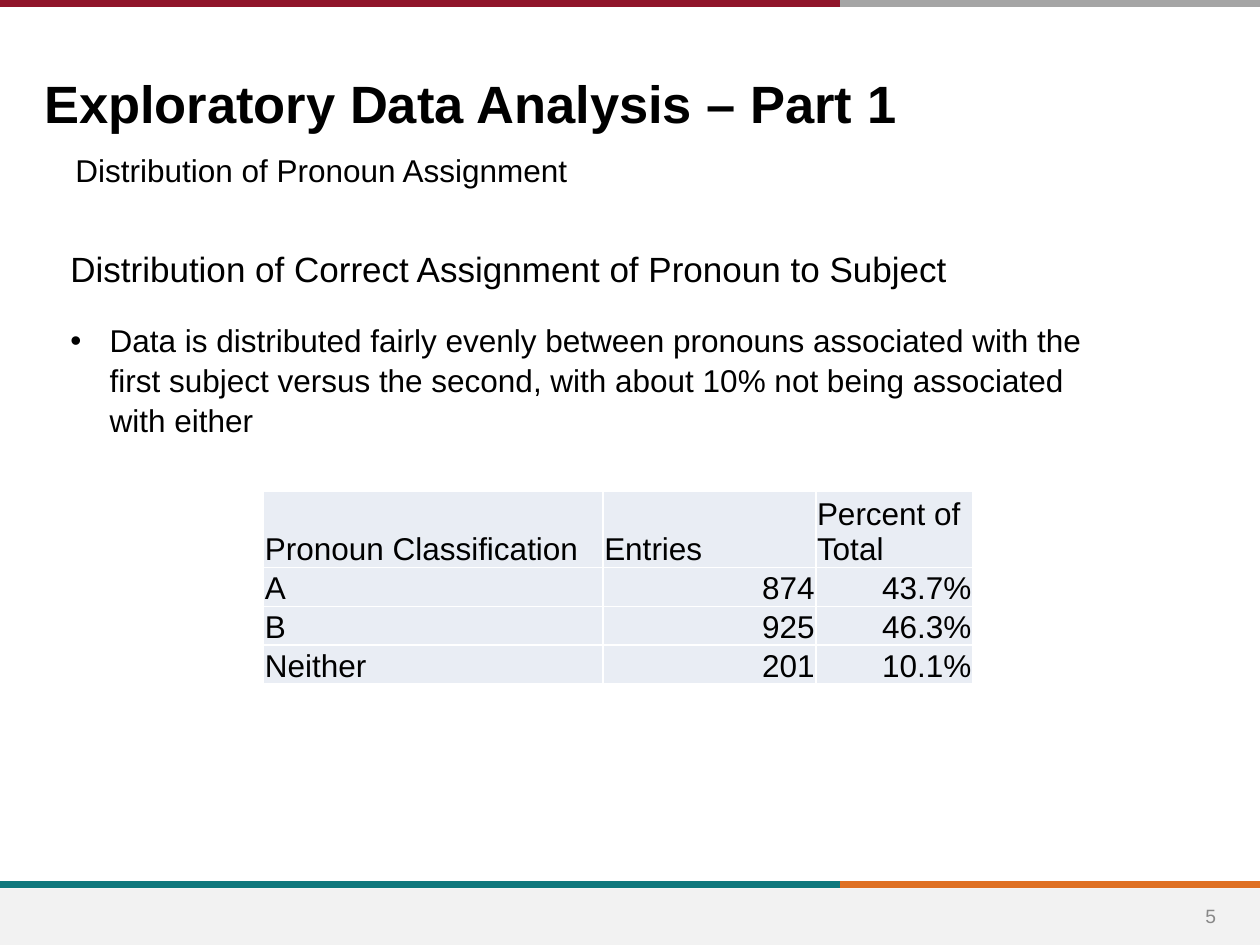
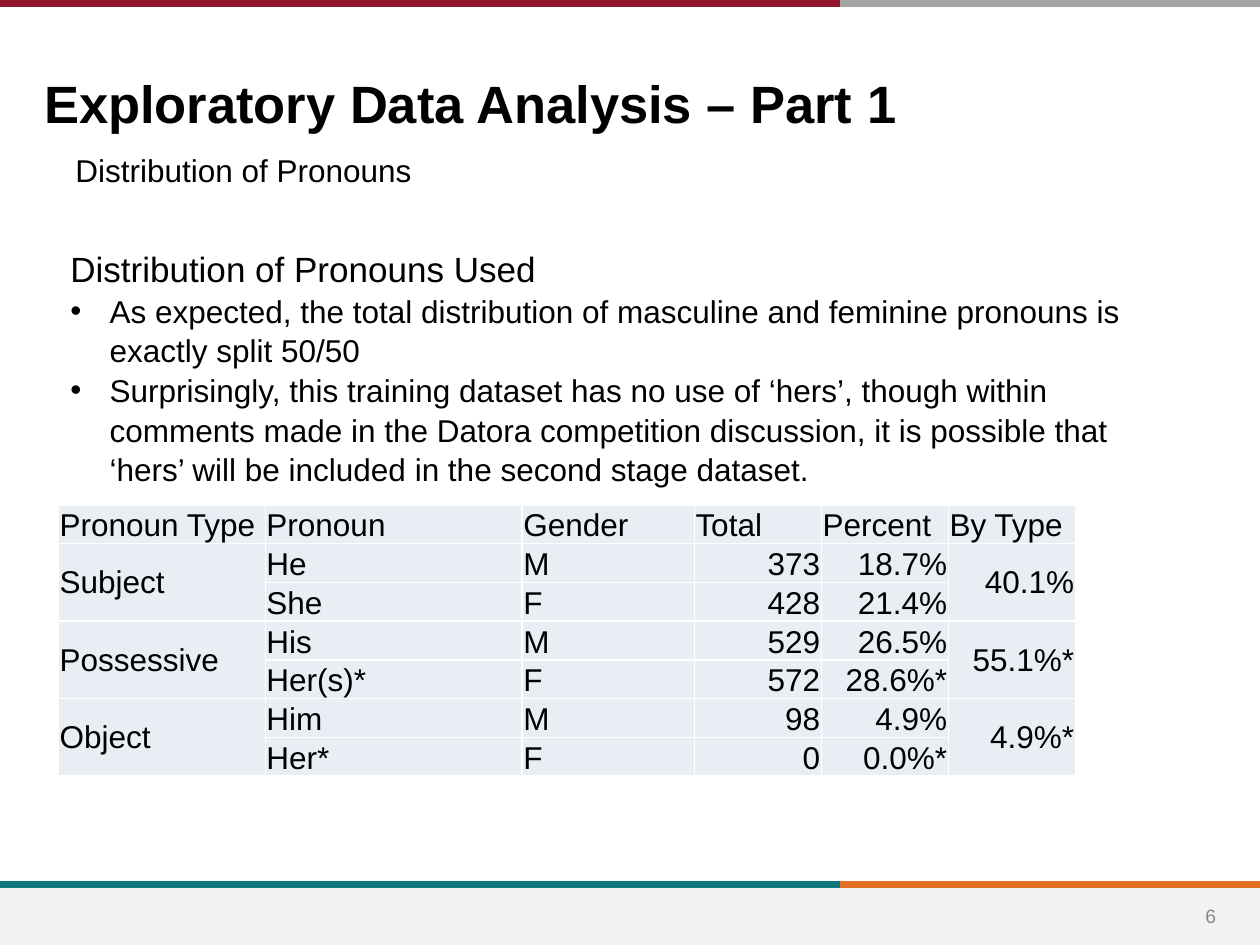
from lxml import etree
from pptx import Presentation
from pptx.dml.color import RGBColor
from pptx.enum.shapes import MSO_CONNECTOR, MSO_SHAPE
from pptx.enum.text import MSO_ANCHOR, MSO_AUTO_SIZE, PP_ALIGN
from pptx.oxml.ns import qn
from pptx.util import Pt

LEFT, CENTER, RIGHT = PP_ALIGN.LEFT, PP_ALIGN.CENTER, PP_ALIGN.RIGHT
TOP, MIDDLE, BOTTOM = MSO_ANCHOR.TOP, MSO_ANCHOR.MIDDLE, MSO_ANCHOR.BOTTOM

BLACK = RGBColor(0x00, 0x00, 0x00)
WHITE = RGBColor(0xFF, 0xFF, 0xFF)
CRIMSON = RGBColor(0x90, 0x15, 0x2A)
SILVER = RGBColor(0xA5, 0xA5, 0xA5)
TEAL = RGBColor(0x0F, 0x78, 0x7D)
ORANGE = RGBColor(0xDF, 0x70, 0x23)
FOOTER_FILL = RGBColor(0xF2, 0xF2, 0xF2)
NUMBER_GRAY = RGBColor(0x88, 0x88, 0x88)
CELL_FILL = RGBColor(0xE9, 0xED, 0xF4)

FONT = "Arial"
SLIDE_WIDTH, SLIDE_HEIGHT = 720, 540
BAND_SPLIT = 480
ROW_HEIGHT = 22.15
BULLET_INDENT = 22.5

ASSIGNMENT_ROWS = [
    ["Pronoun Classification", "Entries", "Percent of Total"],
    ["A", "874", "43.7%"],
    ["B", "925", "46.3%"],
    ["Neither", "201", "10.1%"],
]
# None continues the cell above.
PRONOUN_ROWS = [
    ["Pronoun Type", "Pronoun", "Gender", "Total", "Percent", "By Type"],
    ["Subject", "He", "M", "373", "18.7%", "40.1%"],
    [None, "She", "F", "428", "21.4%", None],
    ["Possessive", "His", "M", "529", "26.5%", "55.1%*"],
    [None, "Her(s)*", "F", "572", "28.6%*", None],
    ["Object", "Him", "M", "98", "4.9%", "4.9%*"],
    [None, "Her*", "F", "0", "0.0%*", None],
]


def style_paragraph(para, size, color=BLACK, bold=False, align=LEFT):
    para.alignment = align
    para.font.name = FONT
    para.font.size = Pt(size)
    para.font.bold = bold
    para.font.color.rgb = color


def set_frame(frame, inset_x, inset_y, anchor=TOP):
    frame.word_wrap = True
    frame.auto_size = MSO_AUTO_SIZE.NONE
    frame.vertical_anchor = anchor
    frame.margin_left = frame.margin_right = Pt(inset_x)
    frame.margin_top = frame.margin_bottom = Pt(inset_y)


def add_box(page, left, top, width, height, inset_y=3.6, anchor=TOP):
    box = page.shapes.add_textbox(Pt(left), Pt(top), Pt(width), Pt(height))
    set_frame(box.text_frame, 7.2, inset_y, anchor)
    return box.text_frame


def set_indent(para, margin, hanging, bullet=None):
    properties = para._p.get_or_add_pPr()
    properties.set("marL", str(Pt(margin)))
    properties.set("indent", str(-Pt(hanging)))
    if bullet:
        font = etree.SubElement(properties, qn("a:buFont"))
        font.set("typeface", FONT)
        mark = etree.SubElement(properties, qn("a:buChar"))
        mark.set("char", bullet)
        # Bullet marks belong ahead of the default run properties.
        defaults = properties.find(qn("a:defRPr"))
        if defaults is not None:
            properties.remove(defaults)
            properties.append(defaults)


def add_band(page, y, left_color, right_color):
    """Draw a two-colour rule across the slide."""
    for start, end, color in ((BAND_SPLIT, SLIDE_WIDTH, right_color),
                              (0, BAND_SPLIT, left_color)):
        line = page.shapes.add_connector(
            MSO_CONNECTOR.STRAIGHT, Pt(start), Pt(y), Pt(end), Pt(y))
        line.line.color.rgb = color
        line.line.width = Pt(4)
        etree.SubElement(line._element.spPr, qn("a:effectLst"))


def add_footer(page, number):
    footer = page.shapes.add_shape(
        MSO_SHAPE.RECTANGLE, 0, Pt(507.6), Pt(SLIDE_WIDTH), Pt(32.4))
    footer.shadow.inherit = False
    footer.fill.solid()
    footer.fill.fore_color.rgb = FOOTER_FILL
    footer.line.fill.background()
    frame = add_box(page, 673.2, 509.1, 37.4, 28.8, anchor=MIDDLE)
    frame.text = str(number)
    style_paragraph(frame.paragraphs[0], 11, NUMBER_GRAY, align=CENTER)


def add_page(deck, number, title, subtitle):
    page = deck.slides.add_slide(deck.slide_layouts[5])
    add_band(page, 505.44, TEAL, ORANGE)
    add_band(page, 2, CRIMSON, SILVER)
    add_footer(page, number)

    heading = page.shapes.title
    heading.left, heading.top = Pt(18), Pt(33.1)
    heading.width, heading.height = Pt(575.3), Pt(42.5)
    heading.text = title
    set_frame(heading.text_frame, 7.2, 7.2)
    style_paragraph(heading.text_frame.paragraphs[0], 30, bold=True)

    frame = add_box(page, 18, 79.2, 684.7, 32.4, inset_y=7.2)
    frame.text = subtitle
    style_paragraph(frame.paragraphs[0], 18)
    set_indent(frame.paragraphs[0], 36, 18)
    return page


def add_findings(page, height, heading, bullets, gap=0):
    """Write a heading and its bullets, with a gap between them."""
    frame = add_box(page, 33.1, 136.8, 614.5, height)
    frame.text = "\n".join([heading] + bullets)
    for index, para in enumerate(frame.paragraphs):
        style_paragraph(para, 18 if index else 20)
        para.line_spacing = 1.05
        if index:
            para.space_before = Pt(gap if index == 1 else 0)
            set_indent(para, BULLET_INDENT, BULLET_INDENT, "•")


def add_borders(cell):
    properties = cell._tc.get_or_add_tcPr()
    for index, side in enumerate(("a:lnL", "a:lnR", "a:lnT", "a:lnB")):
        border = etree.Element(qn(side), w=str(Pt(1)))
        fill = etree.SubElement(border, qn("a:solidFill"))
        etree.SubElement(fill, qn("a:srgbClr"), val=str(WHITE))
        properties.insert(index, border)


def fill_cell(cell, text):
    cell.margin_left = cell.margin_right = cell.margin_top = Pt(0.72)
    cell.margin_bottom = 0
    cell.vertical_anchor = MIDDLE if cell.is_merge_origin else BOTTOM
    cell.fill.solid()
    cell.fill.fore_color.rgb = CELL_FILL
    add_borders(cell)
    if text is not None:
        cell.text = text
        style_paragraph(cell.text_frame.paragraphs[0], 18,
                        align=RIGHT if text[0].isdigit() else LEFT)


def add_data_table(page, left, top, widths, rows, header_height=ROW_HEIGHT):
    heights = [header_height] + [ROW_HEIGHT] * (len(rows) - 1)
    table = page.shapes.add_table(
        len(rows), len(widths), Pt(left), Pt(top),
        Pt(sum(widths)), Pt(sum(heights))).table
    table.first_row = table.horz_banding = False
    for column, width in zip(table.columns, widths):
        column.width = Pt(width)
    for row, height in zip(table.rows, heights):
        row.height = Pt(height)
    for r, values in enumerate(rows):
        for c, text in enumerate(values):
            if text is None:
                table.cell(r - 1, c).merge(table.cell(r, c))
    for r, values in enumerate(rows):
        for c, text in enumerate(values):
            fill_cell(table.cell(r, c), text)


def main():
    deck = Presentation()
    deck.slide_width, deck.slide_height = Pt(SLIDE_WIDTH), Pt(SLIDE_HEIGHT)
    title = "Exploratory Data Analysis – Part 1"

    page = add_page(deck, 5, title, "Distribution of Pronoun Assignment")
    add_findings(
        page, 113.8, "Distribution of Correct Assignment of Pronoun to Subject",
        ["Data is distributed fairly evenly between pronouns associated with "
         "the first subject versus the second, with about 10% not being "
         "associated with either"], gap=17)
    add_data_table(page, 150.6, 281, [194, 121.6, 89.6], ASSIGNMENT_ROWS,
                   header_height=43.4)

    page = add_page(deck, 6, title, "Distribution of Pronouns")
    add_findings(
        page, 140.4, "Distribution of Pronouns Used",
        ["As expected, the total distribution of masculine and feminine "
         "pronouns is exactly split 50/50",
         "Surprisingly, this training dataset has no use of ‘hers’, though "
         "within comments made in the Datora competition discussion, it is "
         "possible that ‘hers’ will be included in the second stage dataset."])
    add_data_table(page, 33.4, 288.5, [118.2, 146.8, 98.4] + [72.6] * 3,
                   PRONOUN_ROWS)
    deck.save("out.pptx")


if __name__ == "__main__":
    main()
